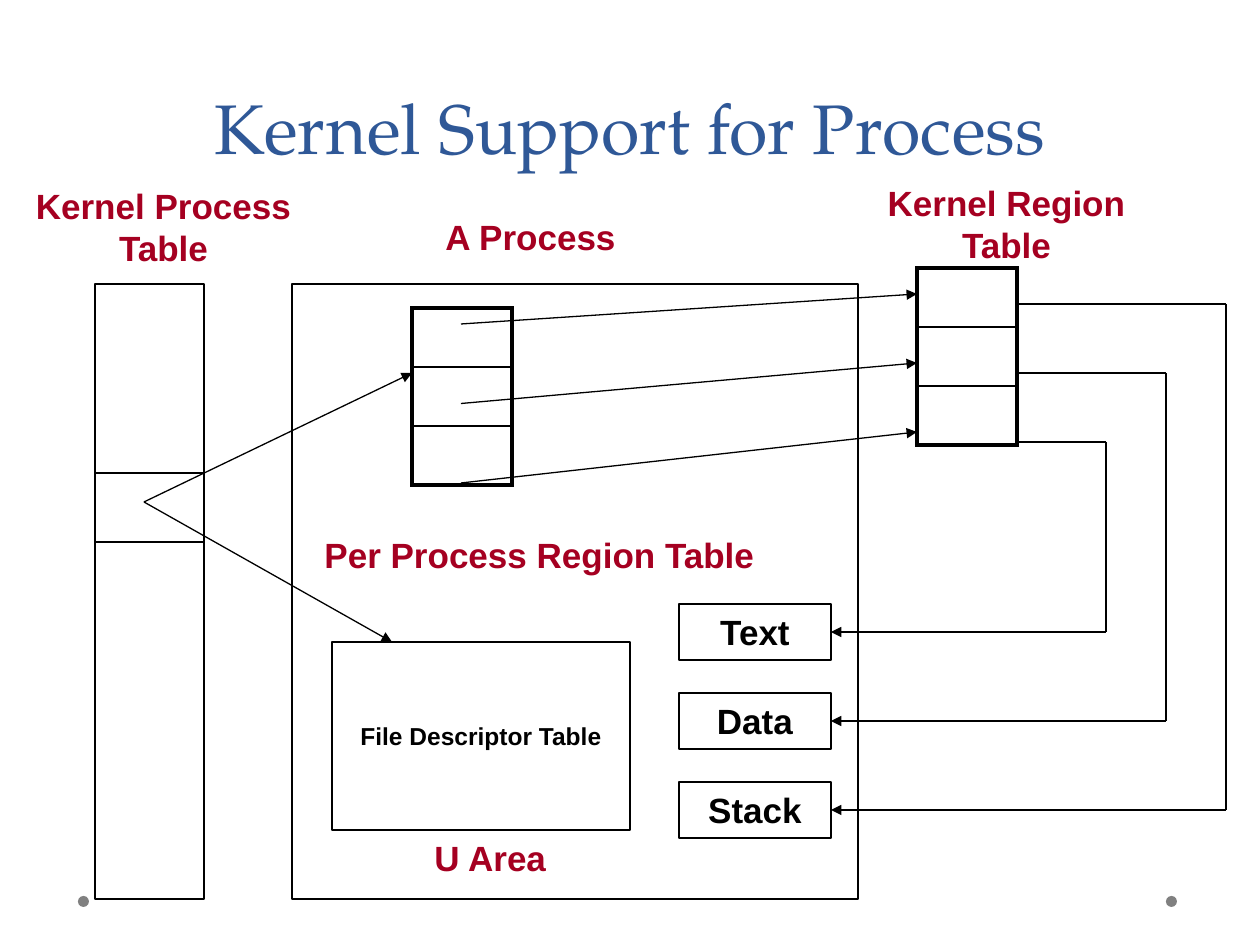
from pptx import Presentation
from pptx.dml.color import RGBColor
from pptx.enum.shapes import MSO_CONNECTOR, MSO_SHAPE
from pptx.enum.text import MSO_ANCHOR, MSO_AUTO_SIZE, PP_ALIGN
from pptx.util import Emu, Pt
from lxml import etree

RECT, OVAL = MSO_SHAPE.RECTANGLE, MSO_SHAPE.OVAL
STRAIGHT = MSO_CONNECTOR.STRAIGHT
TOP, MIDDLE, BOTTOM = MSO_ANCHOR.TOP, MSO_ANCHOR.MIDDLE, MSO_ANCHOR.BOTTOM
LEFT, CENTER = PP_ALIGN.LEFT, PP_ALIGN.CENTER
NO_FIT = MSO_AUTO_SIZE.NONE
SCALE = 914400 / 126
RIGHT_SIDE = 3
BLACK, RED, BLUE, GRAY = "000000", "A50021", "2F5897", "808080"
DRAWING = "{http://schemas.openxmlformats.org/drawingml/2006/main}"


def px(*lengths):
    return [Emu(round(length * SCALE)) for length in lengths]


def color(value):
    return RGBColor.from_string(value)


def write(shape, text, size, ink, font="Arial", bold=True, align=CENTER, anchor=TOP, wrap=True):
    frame = shape.text_frame
    frame.auto_size = NO_FIT
    frame.word_wrap = wrap
    frame.vertical_anchor = anchor
    para = frame.paragraphs[0]
    para.text = text
    para.alignment = align
    para.font.name = font
    para.font.size = Pt(size)
    para.font.bold = bold
    para.font.color.rgb = color(ink)
    return para


def add_label(page, box, text, align=CENTER, wrap=True):
    write(page.shapes.add_textbox(*px(*box)), text, 20, RED, align=align, wrap=wrap)


def add_box(page, box):
    shape = page.shapes.add_shape(RECT, *px(*box))
    shape.shadow.inherit = False
    shape.fill.background()
    shape.line.color.rgb = color(BLACK)
    shape.line.width = Pt(0.75)
    return shape


def add_line(page, start, end, arrow=False):
    line = page.shapes.add_connector(STRAIGHT, *px(*start, *end))
    line.line.color.rgb = color(BLACK)
    line.line.width = Pt(0.75)
    properties = line.line._get_or_add_ln()
    if arrow:
        etree.SubElement(properties, DRAWING + "tailEnd", type="triangle")
    etree.SubElement(line._element.spPr, DRAWING + "effectLst")
    return line


def set_borders(cell, widths):
    cell.fill.background()
    properties = cell._tc.get_or_add_tcPr()
    for index, (side, width) in enumerate(zip("LRTB", widths)):
        border = etree.Element(DRAWING + "ln" + side, w=str(Pt(width)))
        fill = etree.SubElement(border, DRAWING + "solidFill")
        etree.SubElement(fill, DRAWING + "srgbClr", val=BLACK)
        properties.insert(index, border)


def add_region_table(page, box):
    rows = 3
    table = page.shapes.add_table(rows, 1, *px(*box)).table
    table.first_row = table.horz_banding = False
    for index in range(rows):
        top = 2.25 if index == 0 else 1
        bottom = 2.25 if index == rows - 1 else 1
        set_borders(table.cell(index, 0), (2.25, 2.25, top, bottom))


def add_title(page, box):
    title = page.shapes.title
    title.left, title.top, title.width, title.height = px(*box)
    para = write(title, "Kernel Support for Process", 40, BLUE,
                 "TeX Gyre Pagella", bold=False, anchor=BOTTOM)
    para.line_spacing = Pt(58)


def add_footer_dots(page, box):
    left, top, width, size = box
    for x in (left, left + width - size):
        dot = page.shapes.add_shape(OVAL, *px(x, top, size, size))
        dot.shadow.inherit = False
        dot.fill.solid()
        dot.fill.fore_color.rgb = color(GRAY)
        dot.line.fill.background()


def add_process_table(page, box):
    left, top, width, height = box
    add_box(page, box)
    add_label(page, (left - 80, top - 106, 297, 97), "Kernel Process Table")
    for y in (top + 189, top + 258):
        add_line(page, (left, y), (left + width, y))


def add_process(page, box):
    """Draws the process and returns its Text, Data and Stack boxes."""
    left, top, width, height = box
    add_box(page, box)
    add_label(page, (left + 90, top - 75, 297, 54), "A Process")
    # Per process region table
    add_region_table(page, (left + 120, top + 24, 100, 177))
    add_label(page, (left + 20, top + 243, 457, 54), "Per Process Region Table", LEFT, False)
    # U area
    area = add_box(page, (left + 40, top + 358, 298, 188))
    write(area, "File Descriptor Table", 14, BLACK, anchor=MIDDLE, wrap=False)
    add_label(page, (left + 130, top + 546, 139, 54), "U Area", LEFT, False)
    # Memory regions
    regions = []
    for index, name in enumerate(("Text", "Data", "Stack")):
        region = add_box(page, (left + 387, top + 320 + 89 * index, 152, 56))
        write(region, name, 20, BLACK)
        regions.append(region)
    return regions


def add_kernel_regions(page, box):
    left, top, width, height = box
    add_region_table(page, box)
    add_label(page, (left - 59, top - 93, 297, 97), "Kernel Region Table")


def add_pointers(page, process_box, kernel_box, regions):
    left, top = process_box[:2]
    kernel_left, kernel_top, kernel_width = kernel_box[:3]
    # Process entry to its region table and U area
    for end in ((left + 120, top + 89), (left + 100, top + 358)):
        add_line(page, (144, 502), end, arrow=True)
    # Region table to kernel region table
    for index in range(3):
        add_line(page, (left + 169, top + 40 + 79.5 * index),
                 (kernel_left, kernel_top + 26 + 69 * index), arrow=True)
    # Kernel region table round to the memory regions
    for index, region in enumerate(reversed(regions)):
        y = kernel_top + 36 + 69 * index
        turn = 1226 - 60 * index
        region_y = round((region.top + region.height / 2) / SCALE)
        add_line(page, (kernel_left + kernel_width, y), (turn, y))
        add_line(page, (turn, y), (turn, region_y))
        add_line(page, (turn, region_y), (831, region_y), arrow=True).end_connect(
            region, RIGHT_SIDE)


def main():
    deck = Presentation()
    deck.slide_width, deck.slide_height = px(1260, 945)
    page = deck.slides.add_slide(deck.slide_layouts[5])
    process_box = (292, 284, 566, 615)
    kernel_box = (917, 268, 100, 177)

    add_footer_dots(page, (78, 896, 1099, 11))
    add_title(page, (63, 0, 1134, 175))
    add_process_table(page, (95, 284, 109, 615))
    regions = add_process(page, process_box)
    add_kernel_regions(page, kernel_box)
    add_pointers(page, process_box, kernel_box, regions)
    deck.save("out.pptx")


if __name__ == "__main__":
    main()
